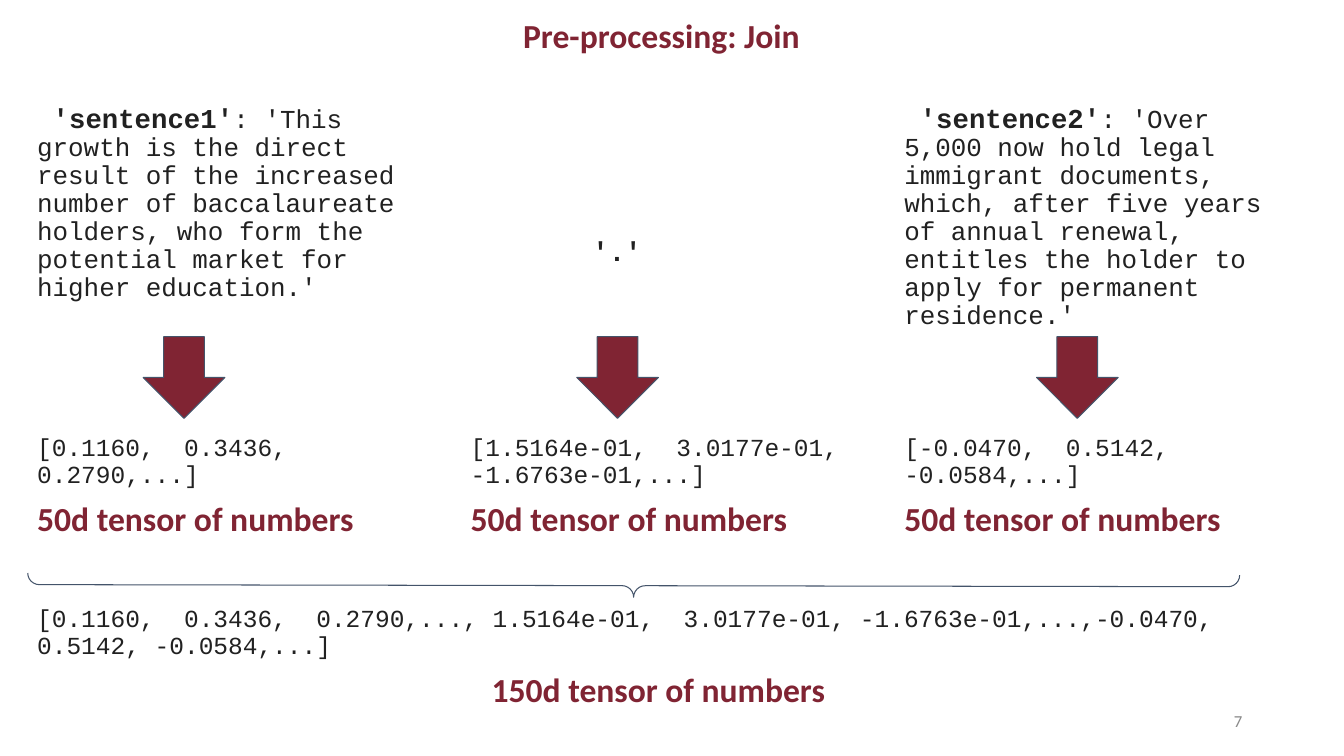
from pptx import Presentation
from pptx.dml.color import RGBColor
from pptx.enum.shapes import MSO_SHAPE as Shape
from pptx.enum.text import MSO_ANCHOR as Anchor, PP_ALIGN as Align
from pptx.util import Inches, Pt

COLORS = {"wine": "802433", "ink": "212121", "slate": "44546A", "gray": "888888"}
SANS, MONO = "Calibri", "Courier New"


class Deck:
    def __init__(self):
        self.prs = Presentation()
        self.prs.slide_width, self.prs.slide_height = Inches(13.33), Inches(7.5)
        self.slide = self.prs.slides.add_slide(self.prs.slide_layouts[6])

    def color(self, name):
        return RGBColor.from_string(COLORS[name])

    def style(self, run, font, size, color, bold=False):
        run.font.name, run.font.size, run.font.bold = font, Pt(size), bold
        run.font.color.rgb = self.color(color)

    def box(self, left, top, width, height, inset=0.1):
        shape = self.slide.shapes.add_textbox(*map(Inches, (left, top, width, height)))
        frame = shape.text_frame
        frame.word_wrap = True
        frame.margin_left = frame.margin_right = Inches(0.1)
        frame.margin_top = frame.margin_bottom = Inches(inset)
        return frame

    def fill(self, para, runs, align=Align.LEFT, spacing=0.9):
        """Fill a paragraph with (text, font, size, color, bold) runs."""
        para.alignment, para.line_spacing = align, spacing
        for text, *look in runs:
            run = para.add_run()
            run.text = text
            self.style(run, *look)

    def head(self, para, text, align=Align.LEFT):
        self.fill(para, [(text, SANS, 24, "wine", True)], align)

    def sentence(self, left, key, text):
        frame = self.box(left, 0.94, 4.08, 3.14)
        self.fill(frame.paragraphs[0], [
            (" ", MONO, 18.5, "ink", True),
            (f"'{key}'", MONO, 19.5, "ink", True),
            (f": '{text}'", MONO, 18.5, "ink")])

    def tensor(self, left, top, width, values, label, align=Align.LEFT):
        frame = self.box(left, top, width, 1.24)
        self.fill(frame.paragraphs[0], [(f"[{values}]", MONO, 17.5, "ink")])
        para = frame.add_paragraph()
        para.space_before = Pt(10)
        self.head(para, label, align)

    def shape(self, kind, left, top, width, height, fill=None):
        shape = self.slide.shapes.add_shape(
            kind, *map(Inches, (left, top, width, height)))
        shape.shadow.inherit = False
        shape.line.color.rgb, shape.line.width = self.color("slate"), Pt(0.75)
        if fill:
            shape.fill.solid()
            shape.fill.fore_color.rgb = self.color(fill)
        else:
            shape.fill.background()
        return shape

    def arrow(self, left):
        self.shape(Shape.DOWN_ARROW, left, 3.34, 0.81, 0.81, "wine")

    def brace(self):
        brace = self.shape(Shape.LEFT_BRACE, 6.17, -0.2, 0.23, 12.02)
        brace.adjustments[0] = brace.adjustments[1] = 0.5
        brace.rotation = 270.1


def main():
    deck = Deck()
    deck.head(deck.box(0, 0.09, 13.12, 0.57).paragraphs[0],
              "Pre-processing: Join", Align.CENTER)

    deck.sentence(0.27, "sentence1", "This growth is the direct result of the "
                  "increased number of baccalaureate holders, who form the "
                  "potential market for higher education.")
    deck.sentence(8.87, "sentence2", "Over 5,000 now hold legal immigrant "
                  "documents, which, after five years of annual renewal, "
                  "entitles the holder to apply for permanent residence.")
    deck.fill(deck.box(4.48, 2.26, 3.28, 0.5).paragraphs[0],
              [("'.'", MONO, 19.5, "ink", True)], Align.CENTER)

    columns = [
        (0.27, 4.08, 1.42, "0.1160,  0.3436,  0.2790,..."),
        (4.57, 4.08, 5.72, "1.5164e-01,  3.0177e-01, -1.6763e-01,..."),
        (8.87, 3.92, 10.28, "-0.0470,  0.5142, -0.0584,..."),
    ]
    for left, width, tip, values in columns:
        deck.arrow(tip)
        deck.tensor(left, 4.22, width, values, "50d tensor of numbers")

    deck.brace()
    first, dot, second = (column[-1] for column in columns)
    deck.tensor(0.27, 5.92, 12.52, f"{first}, {dot},{second}",
                "150d tensor of numbers", Align.CENTER)

    page = deck.box(9.42, 6.95, 3, 0.4, 0.05)
    page.vertical_anchor = Anchor.MIDDLE
    deck.fill(page.paragraphs[0], [("7", SANS, 12, "gray")], Align.RIGHT, 1.0)
    deck.prs.save("out.pptx")


if __name__ == "__main__":
    main()
